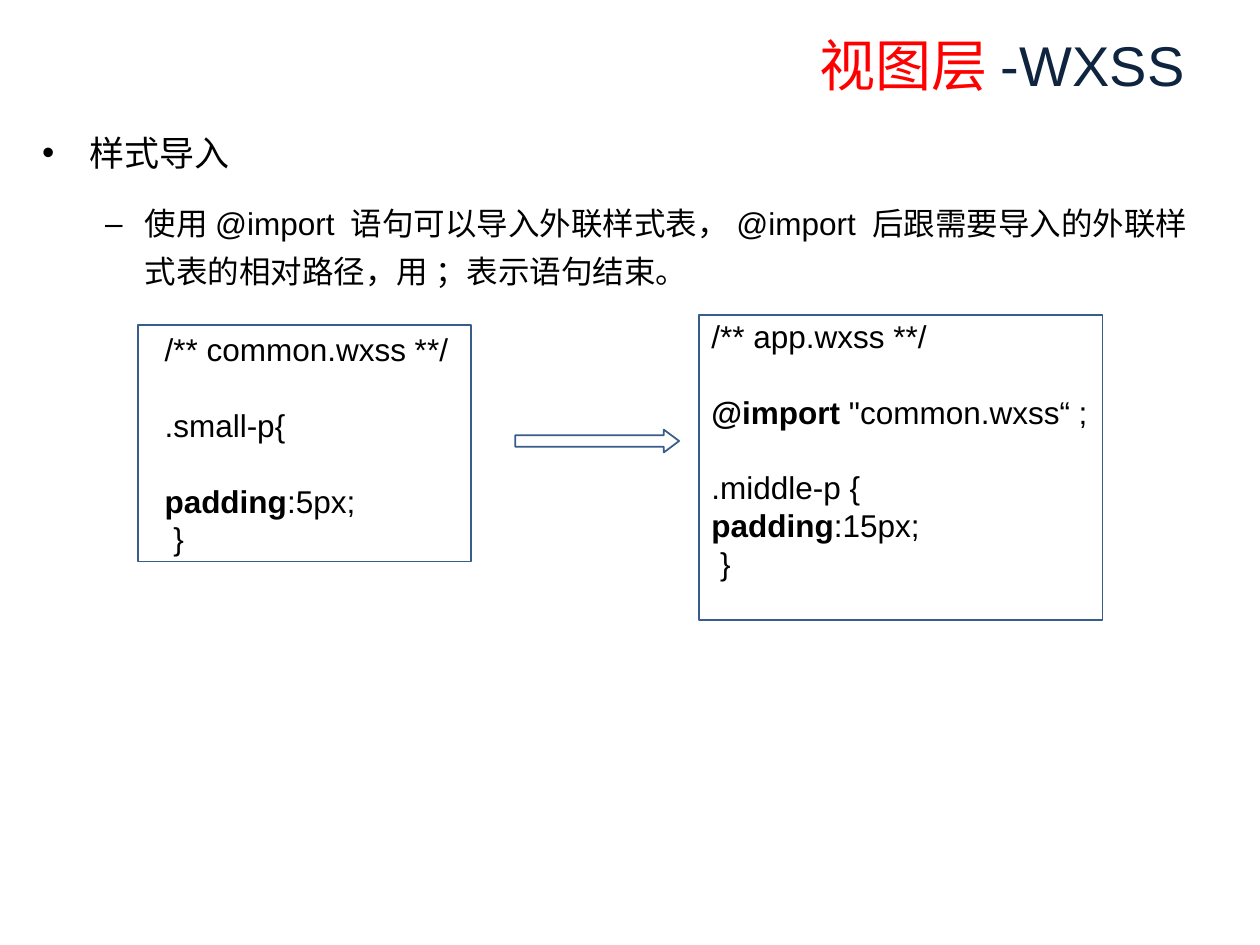
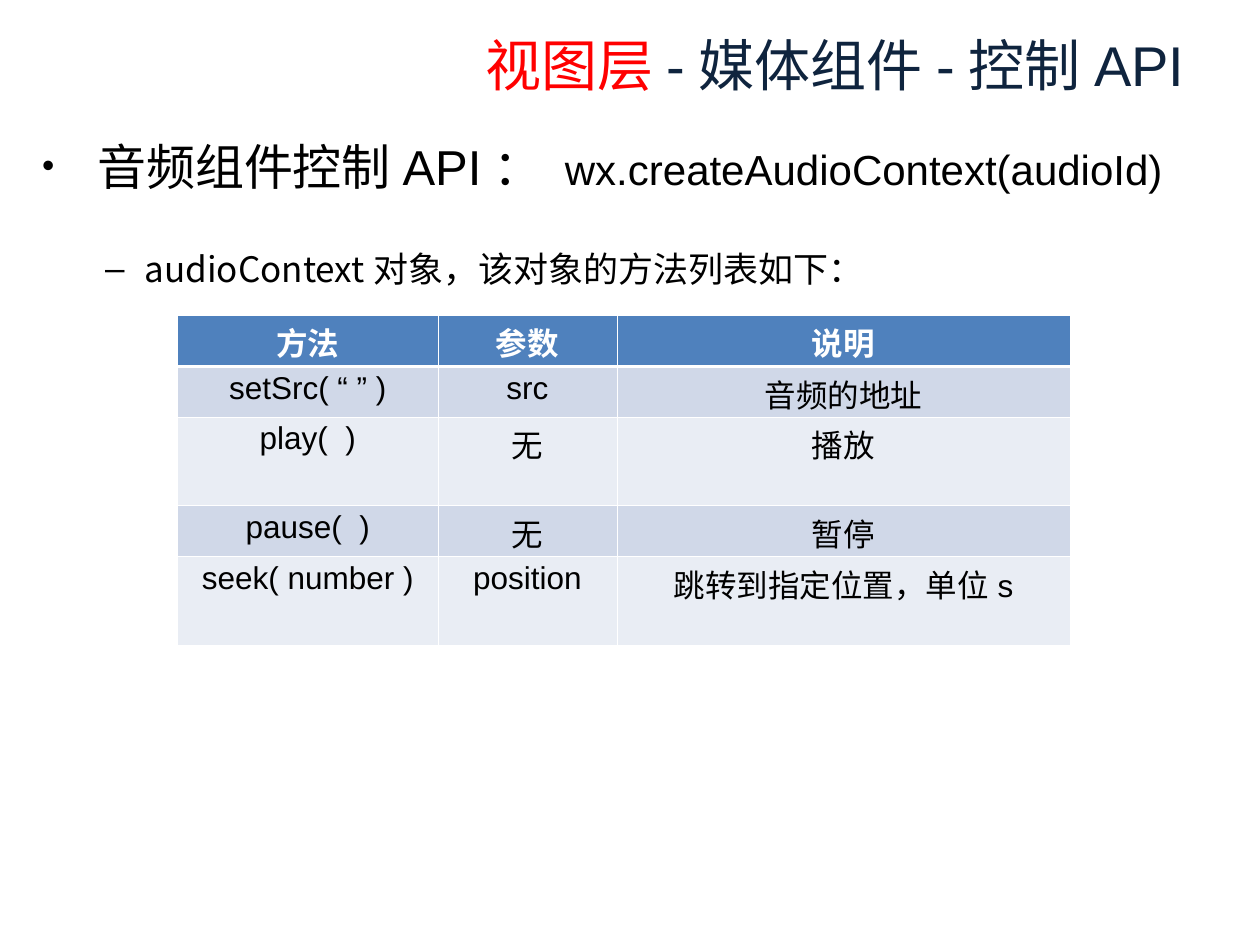
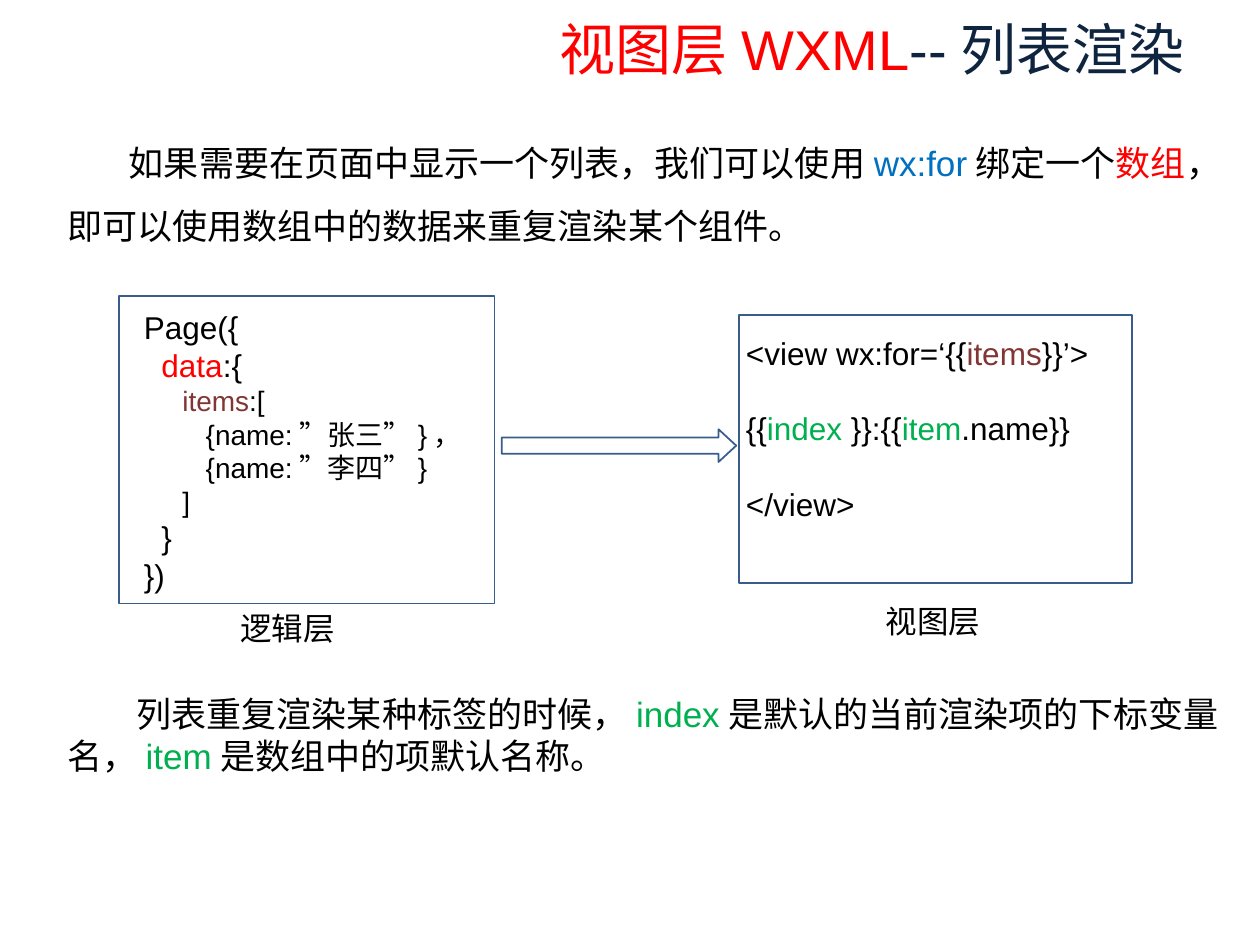
from pptx import Presentation
from pptx.dml.color import RGBColor
from pptx.enum.shapes import MSO_SHAPE
from pptx.enum.text import MSO_ANCHOR, PP_ALIGN
from pptx.oxml.ns import qn
from pptx.util import Pt
from lxml import etree

RECT, ARROW = MSO_SHAPE.RECTANGLE, MSO_SHAPE.RIGHT_ARROW
TOP, MIDDLE = MSO_ANCHOR.TOP, MSO_ANCHOR.MIDDLE
RIGHT, CENTER = PP_ALIGN.RIGHT, PP_ALIGN.CENTER

BLACK = RGBColor(0x00, 0x00, 0x00)
WHITE = RGBColor(0xFF, 0xFF, 0xFF)
RED = RGBColor(0xFF, 0x00, 0x00)
NAVY = RGBColor(0x0F, 0x24, 0x3E)
BLUE = RGBColor(0x00, 0x70, 0xC0)
GREEN = RGBColor(0x00, 0xB0, 0x50)
MAROON = RGBColor(0x82, 0x36, 0x34)
OUTLINE = RGBColor(0x38, 0x5D, 0x8A)
HEADER = RGBColor(0x4F, 0x81, 0xBD)
BANDS = (RGBColor(0xD0, 0xD8, 0xE8), RGBColor(0xE9, 0xED, 0xF4))

LATIN, CJK = "Arial", "Noto Sans CJK SC"
CODE_LINE = 21.6
BODY_TOP, BODY_SIZE, BODY_MARGIN = 65.5, (686, 425.5), 10


def sub(parent, tag, **attrs):
    return etree.SubElement(parent, qn(tag), attrs)


def add_runs(p, runs, size=18, color=BLACK):
    for text, extra in runs:
        fmt = {"name": LATIN, "size": size, "bold": False, "color": color, **extra}
        r = p.add_run()
        r.text = text
        r.font.color.rgb = fmt.pop("color")
        fmt["size"] = Pt(fmt["size"])
        for name, value in fmt.items():
            setattr(r.font, name, value)
        sub(r.font._element, "a:ea", typeface=CJK)


def format_paragraph(p, left=0, first=0, bullet=None, **fmt):
    for name, value in fmt.items():
        setattr(p, name, Pt(value))
    pPr = p._p.get_or_add_pPr()
    pPr.set("marL", str(Pt(left)))
    pPr.set("indent", str(Pt(first)))
    if bullet:
        sub(pPr, "a:buFont", typeface=LATIN)
        sub(pPr, "a:buChar", char=bullet)


def add_text(s, box, paragraphs, size=18, wrap=True, margin_right=0):
    tf = s.shapes.add_textbox(*map(Pt, box)).text_frame
    tf.word_wrap = wrap
    tf.margin_right = Pt(margin_right)
    for i, (fmt, runs) in enumerate(paragraphs):
        p = tf.add_paragraph() if i else tf.paragraphs[0]
        format_paragraph(p, **fmt)
        add_runs(p, runs, size)


def add_body(s, left, paragraphs, size=18):
    add_text(s, (left, BODY_TOP, *BODY_SIZE), paragraphs, size,
             margin_right=BODY_MARGIN)


def add_title(s, red, navy, top=18.7, height=36):
    tf = s.shapes.add_textbox(Pt(178.6), Pt(top), Pt(505.4), Pt(height)).text_frame
    tf.word_wrap = True
    tf.vertical_anchor = MIDDLE
    p = tf.paragraphs[0]
    p.alignment = RIGHT
    add_runs(p, [(red, {"color": RED}), (navy, {})], 32, NAVY)


def add_bullets(s, left, head, head_line, item, item_line, gap):
    add_body(s, left, [
        ({"left": 27, "first": -27, "bullet": "•", "line_spacing": head_line,
          "space_before": 3}, head),
        ({"left": 58.5, "first": -22.5, "bullet": "–", "line_spacing": item_line,
          "space_before": gap}, item),
    ])


def add_outline(s, kind, box, adjustments=()):
    sp = s.shapes.add_shape(kind, *map(Pt, box))
    sp.shadow.inherit = False
    sp.fill.background()
    sp.line.color.rgb = OUTLINE
    sp.line.width = Pt(1)
    for i, value in enumerate(adjustments):
        sp.adjustments[i] = value


def add_code(s, box, lines):
    add_text(s, box, [
        ({"left": indent, "space_before": gap,
          "line_spacing": 1.2 * runs[0][1].get("size", 18)}, runs)
        for indent, gap, runs in lines
    ])


def add_caption(s, left, top, text):
    add_text(s, (left, top, 70, 29), [({"line_spacing": CODE_LINE}, [(text, {})])],
             wrap=False)


def set_border(cell, side, width):
    ln = sub(cell._tc.get_or_add_tcPr(), f"a:{side}", w=str(Pt(width)))
    sub(sub(ln, "a:solidFill"), "a:srgbClr", val=str(WHITE))


def add_methods_table(s, box, widths, heights, rows):
    table = s.shapes.add_table(len(rows), len(widths), *map(Pt, box)).table
    for column, width in zip(table.columns, widths):
        column.width = Pt(width)
    for i, (row, height, texts) in enumerate(zip(table.rows, heights, rows)):
        row.height = Pt(height)
        for cell, text in zip(row.cells, texts):
            cell.margin_top, cell.margin_bottom = Pt(2.5), 0
            cell.vertical_anchor = TOP
            for side in ("lnL", "lnR", "lnT", "lnB"):
                heavy = (i, side) in ((0, "lnB"), (1, "lnT"))
                set_border(cell, side, 1.47 if heavy else 0.45)
            cell.fill.solid()
            cell.fill.fore_color.rgb = BANDS[(i - 1) % 2] if i else HEADER
            p = cell.text_frame.paragraphs[0]
            p.alignment = CENTER
            add_runs(p, [(text, {"bold": i == 0})], color=BLACK if i else WHITE)


def build_style_import(s):
    add_bullets(
        s, 17, [("样式导入", {"size": 20})], 30,
        [("使用@import 语句可以导入外联样式表，@import 后跟需要导入的外联样式表的相对路径，"
          "用 ；表示语句结束。", {})], 27, 12.3)
    add_title(s, "视图层", "-WXSS")
    add_outline(s, RECT, (78.8, 185.8, 190.5, 135))
    add_outline(s, RECT, (399.6, 180, 230.4, 174.2))
    bold = {"bold": True}
    add_code(s, (87, 185.3, 177.8, 136.8), [
        (0, 0, [("/** common.wxss **/", {})]),
        (0, CODE_LINE, [(".small-p{", {})]),
        (0, CODE_LINE, [("padding", bold), (":5px;", {})]),
        (5, 0, [("}", {})]),
    ])
    add_code(s, (399.5, 177.8, 230.4, 158.4), [
        (0, 0, [("/** app.wxss **/", {})]),
        (0, CODE_LINE, [("@import", bold), (' "common.wxss“ ;', {})]),
        (0, CODE_LINE, [(".middle-p {", {})]),
        (0, 0, [("padding", bold), (":15px;", {})]),
        (5, 0, [("}", {})]),
    ])
    add_outline(s, ARROW, (294.5, 245.5, 93.6, 13), (0.5, 0.67))


def build_audio_api(s):
    add_bullets(
        s, 17,
        [(" ", {"size": 20}), ("音频组件控制API： ", {"size": 28}),
         ("wx.createAudioContext(audioId)", {"size": 24})], 42.5,
        [("audioContext对象，该对象的方法列表如下：", {"size": 20, "name": CJK})], 30, 23.7)
    add_methods_table(
        s, (101.5, 180, 510, 188.6), (148.8, 102.2, 259),
        (29.5, 28.8, 50.4, 29.5, 50.4), [
            ("方法", "参数", "说明"),
            ("setSrc( “ ” )", "src", "音频的地址"),
            ("play(  )", "无", "播放"),
            ("pause(  )", "无", "暂停"),
            ("seek( number )", "position", "跳转到指定位置，单位s"),
        ])
    add_title(s, "视图层", "-媒体组件-控制API")


def build_list_rendering(s):
    red, blue, green, maroon = ({"color": c} for c in (RED, BLUE, GREEN, MAROON))
    small = {"size": 16}
    add_title(s, "视图层WXML", "--列表渲染", 0, 54.7)
    add_body(s, 31.3, [
        ({"first": 35.3, "line_spacing": 36, "space_before": 3.5}, [
            ("如果需要在页面中显示一个列表，我们可以使用", {}), ("wx:for", blue),
            ("绑定一个", {}), ("数组", red),
            ("，即可以使用数组中的数据来重复渲染某个组件。", {})]),
        ({"first": 39.7, "line_spacing": 24, "space_before": 254.5}, [
            ("列表重复渲染某种标签的时候，", {}), ("index", green),
            ("是默认的当前渲染项的下标变量名，", {}), ("item", green),
            ("是数组中的项默认名称。", {})]),
    ], 20)
    add_outline(s, RECT, (68.2, 169.2, 214.4, 175.7))
    add_outline(s, RECT, (422.4, 180, 224.6, 153))
    add_caption(s, 130.3, 344.5, "逻辑层")
    add_caption(s, 499, 340.6, "视图层")
    add_code(s, (75.2, 172.5, 196.6, 170.6), [
        (0, 0, [("Page({", {})]),
        (10, 0, [("data", red), (":{", {})]),
        (22, 0, [("items", {**small, **maroon}), (":[", small)]),
        (35.3, 0, [("{name:”张三”}，", small)]),
        (35.3, 0, [("{name:”李四”}", small)]),
        (22, 0, [("]", small)]),
        (10, 0, [("}", {})]),
        (0, 0, [("})", {})]),
    ])
    add_code(s, (419.2, 187.2, 218.2, 115.2), [
        (0, 0, [("<view wx:for=‘{{", {}), ("items", maroon), ("}}’>", {})]),
        (0, CODE_LINE, [("{{", {}), ("index", green), (" }}:{{", {}),
                        ("item", green), (".name}}", {})]),
        (0, CODE_LINE, [("</view>", {})]),
    ])
    add_outline(s, ARROW, (286.8, 245.3, 133.9, 18.7), (0.5, 0.54))


def main():
    prs = Presentation()
    prs.slide_width, prs.slide_height = Pt(720), Pt(540)
    for build in (build_style_import, build_audio_api, build_list_rendering):
        build(prs.slides.add_slide(prs.slide_layouts[6]))
    prs.save("out.pptx")


if __name__ == "__main__":
    main()
